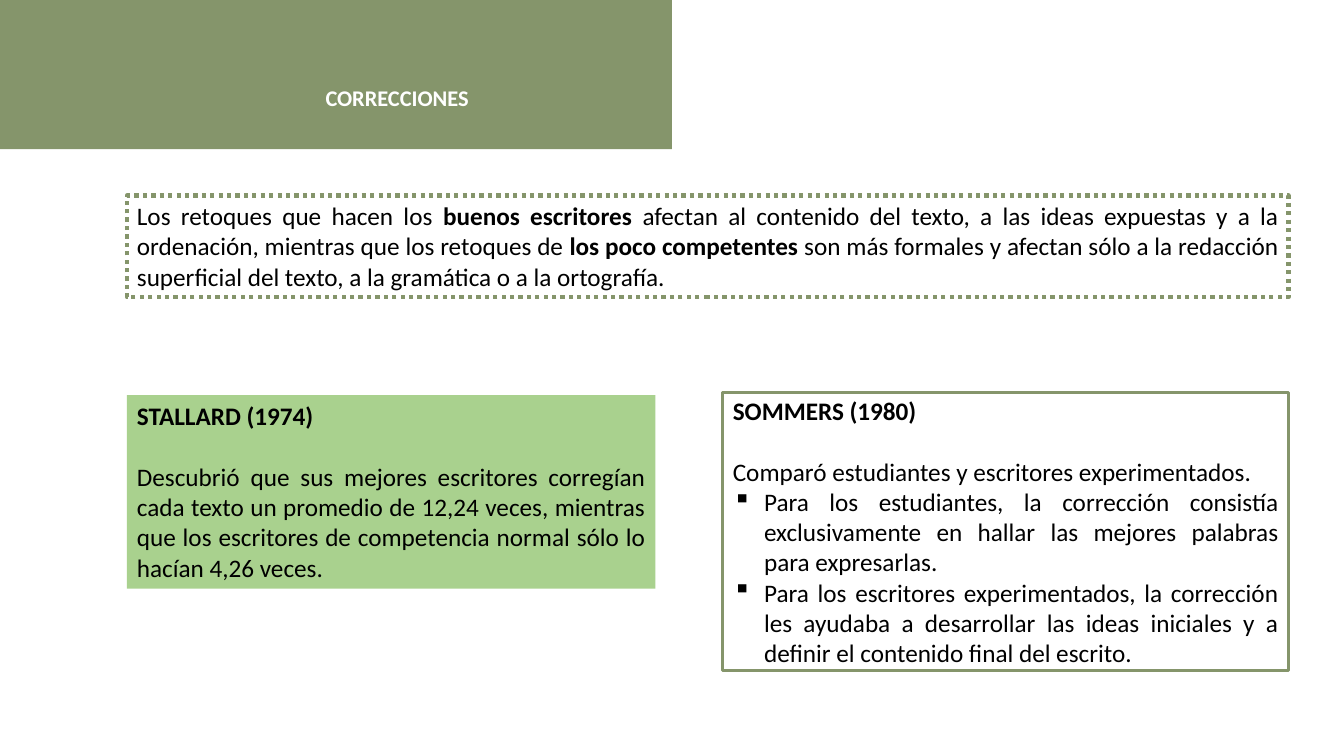
from dataclasses import dataclass

from lxml import etree
from pptx import Presentation
from pptx.dml.color import RGBColor
from pptx.enum.dml import MSO_LINE
from pptx.enum.shapes import MSO_SHAPE
from pptx.enum.text import MSO_ANCHOR, PP_ALIGN
from pptx.oxml.ns import qn
from pptx.util import Inches, Pt

RECT = MSO_SHAPE.RECTANGLE
DOTS = MSO_LINE.ROUND_DOT  # written as sysDot
SOLID = MSO_LINE.SOLID
TOP, MIDDLE = MSO_ANCHOR.TOP, MSO_ANCHOR.MIDDLE
JUSTIFY = PP_ALIGN.JUSTIFY

WIDE, HIGH = Inches(13.33), Inches(7.5)
COLORS = {"olive": "85956B", "green": "A9D18E", "white": "FFFFFF", "black": "000000"}
FONT = "Calibri"
INDENT = Inches(0.31)
LEFT, RIGHT = 9.45, 95.87  # content margins, % of the width


@dataclass
class Para:
    text: str  # asterisks enclose bold words
    size: int = 18
    color: str = "black"
    bold: bool = False
    bullet: bool = False
    after: int = 0
    spacing: float = 1.0


@dataclass
class Box:
    left: float  # all four sides in % of the slide
    top: float
    right: float
    height: float
    paras: tuple[Para, ...] = ()
    fill: str = ""
    line: str = ""
    weight: float = 0
    dash: MSO_LINE = SOLID
    anchor: MSO_ANCHOR = TOP
    plain: bool = False  # a text box instead of a rectangle


def head(text: str) -> Para:
    return Para(text, bold=True, after=22)


BOXES = (
    # Title band
    Box(0, 0, 50, 19.73, fill="olive"),
    # Main idea
    Box(LEFT, 25.87, RIGHT, 13.47, (
        Para("Los retoques que hacen los *buenos escritores *afectan al contenido del texto, "
             "a las ideas expuestas y a la ordenación, mientras que los retoques de "
             "*los poco competentes *son más formales y afectan sólo a la redacción "
             "superficial del texto, a la gramática o a la ortografía."),
    ), line="olive", weight=3, dash=DOTS),
    # Two studies
    Box(LEFT, 52.27, 48.76, 25.6, (
        head("STALLARD (1974)"),
        Para("Descubrió que sus mejores escritores corregían cada texto un promedio de "
             "12,24 veces, mientras que los escritores de competencia normal sólo lo "
             "hacían 4,26 veces."),
    ), fill="green"),
    Box(53.79, 51.87, RIGHT, 36.8, (
        head("SOMMERS (1980)"),
        Para("Comparó estudiantes y escritores experimentados."),
        Para("Para los estudiantes, la corrección consistía exclusivamente en hallar las "
             "mejores palabras para expresarlas.", bullet=True),
        Para("Para los escritores experimentados, la corrección les ayudaba a desarrollar "
             "las ideas iniciales y a definir el contenido final del escrito.", bullet=True),
    ), fill="white", line="olive", weight=2.25, anchor=MIDDLE),
    # Title
    Box(23.48, 8.67, 43.81, 7.07, (
        Para("CORRECCIONES", size=16, color="white", bold=True, spacing=1.5),
    ), plain=True),
)


def color(name: str) -> RGBColor:
    return RGBColor.from_string(COLORS[name])


def write(par, item: Para) -> None:
    par.alignment = JUSTIFY
    par.line_spacing = item.spacing
    par.space_after = Pt(item.after)
    if item.bullet:
        props = par._p.get_or_add_pPr()
        props.set("marL", str(INDENT))
        props.set("indent", str(-INDENT))
        etree.SubElement(props, qn("a:buChar")).set("char", "▪")
    font = par.font
    font.name, font.size, font.bold = FONT, Pt(item.size), item.bold
    font.color.rgb = color(item.color)
    for spot, part in enumerate(item.text.split("*")):
        run = par.add_run()
        run.text = part
        if spot % 2:
            run.font.bold = True


def draw(slide, box: Box) -> None:
    area = (int(WIDE * box.left / 100), int(HIGH * box.top / 100),
            int(WIDE * (box.right - box.left) / 100), int(HIGH * box.height / 100))
    if box.plain:
        shape = slide.shapes.add_textbox(*area)
    else:
        shape = slide.shapes.add_shape(RECT, *area)
        shape.shadow.inherit = False
        if box.fill:
            shape.fill.solid()
            shape.fill.fore_color.rgb = color(box.fill)
        else:
            shape.fill.background()
        if box.line:
            shape.line.color.rgb = color(box.line)
            shape.line.width = Pt(box.weight)
            shape.line.dash_style = box.dash
        else:
            shape.line.fill.background()
    frame = shape.text_frame
    frame.word_wrap = True
    frame.vertical_anchor = box.anchor
    for spot, item in enumerate(box.paras):
        write(frame.add_paragraph() if spot else frame.paragraphs[0], item)


def main() -> None:
    deck = Presentation()
    deck.slide_width, deck.slide_height = WIDE, HIGH
    slide = deck.slides.add_slide(deck.slide_layouts[6])
    for box in BOXES:
        draw(slide, box)
    deck.save("out.pptx")


if __name__ == "__main__":
    main()
